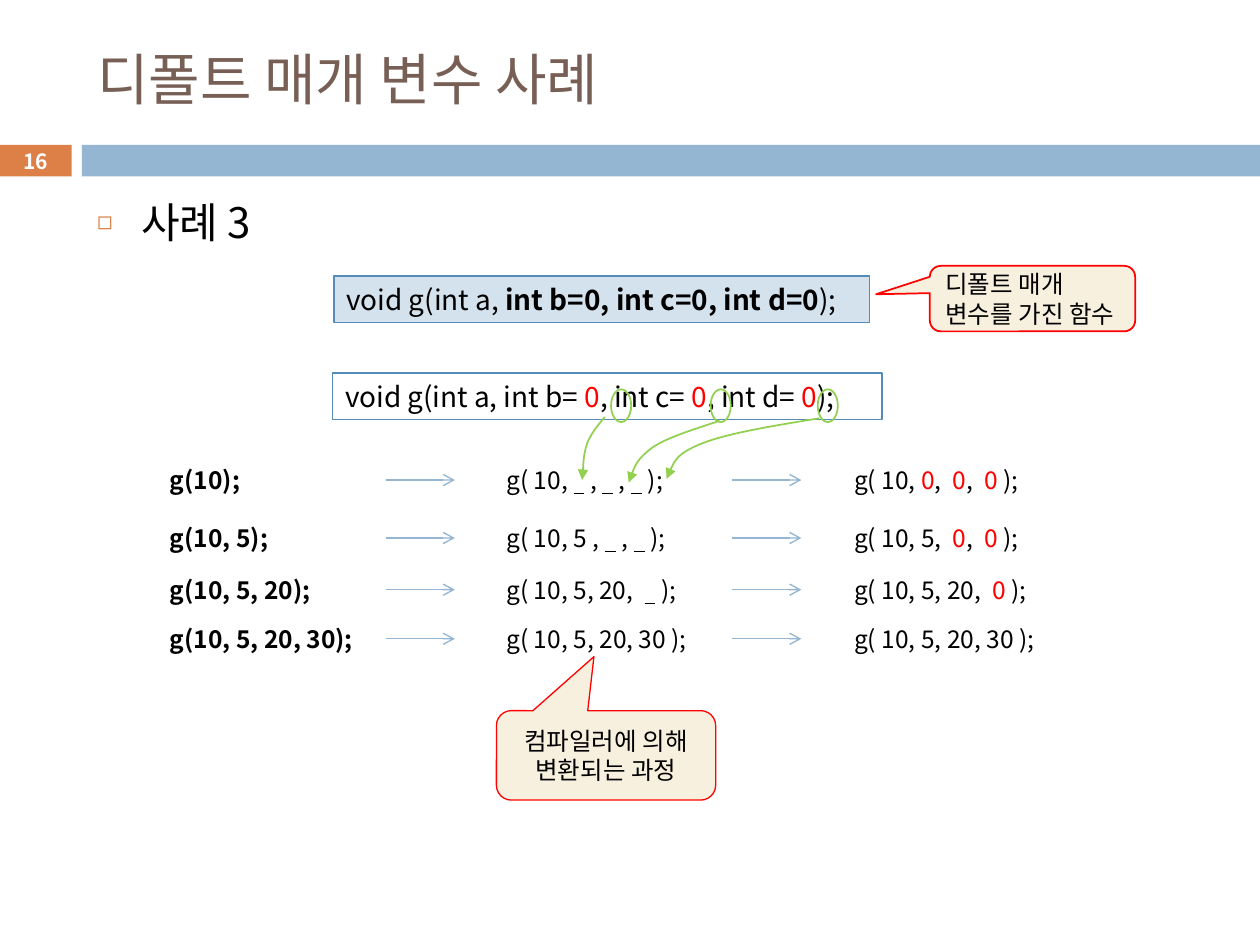
from lxml import etree
from pptx import Presentation
from pptx.dml.color import RGBColor
from pptx.enum.shapes import MSO_CONNECTOR, MSO_SHAPE
from pptx.enum.text import MSO_ANCHOR, MSO_AUTO_SIZE, PP_ALIGN
from pptx.oxml.ns import qn
from pptx.util import Inches, Pt

RECT, OVAL = MSO_SHAPE.RECTANGLE, MSO_SHAPE.OVAL
CALLOUT = MSO_SHAPE.ROUNDED_RECTANGULAR_CALLOUT
STRAIGHT = MSO_CONNECTOR.STRAIGHT
MIDDLE, TOP = MSO_ANCHOR.MIDDLE, MSO_ANCHOR.TOP
LEFT, CENTER = PP_ALIGN.LEFT, PP_ALIGN.CENTER
FONT = "Noto Sans CJK KR"
COLORS = {
    "black": "000000", "white": "FFFFFF", "title": "775F55", "orange": "DD8047",
    "bar": "94B6D2", "border": "558BB8", "code": "D4E2ED", "cream": "F7F0DE",
    "red": "FF0000", "green": "92D050",
}


def write(frame, runs, size, color="black", align=LEFT, anchor=MIDDLE):
    """Fill the frame's first paragraph with (text, style) runs; style is "", bold, red or blank."""
    frame.word_wrap = True
    frame.auto_size = MSO_AUTO_SIZE.NONE
    frame.vertical_anchor = anchor
    para = frame.paragraphs[0]
    para.alignment = align
    para.space_before = Pt(0)
    for text, style in runs:
        span = para.add_run()
        span.text = text
        font = span.font
        font.name, font.size = FONT, Pt(size)
        font.bold, font.underline = style == "bold", style == "blank"
        font.color.rgb = RGBColor.from_string(COLORS["red" if style == "red" else color])
        etree.SubElement(font._element, qn("a:ea"), typeface=FONT)


def add_box(kind, area, fill=None, line=None, width=0.75):
    box = page.shapes.add_shape(kind, *(Inches(length) for length in area))
    box.shadow.inherit = False
    if fill:
        box.fill.solid()
        box.fill.fore_color.rgb = RGBColor.from_string(COLORS[fill])
    else:
        box.fill.background()
    if line:
        box.line.color.rgb = RGBColor.from_string(COLORS[line])
        box.line.width = Pt(width)
    else:
        box.line.fill.background()
    return box


deck = Presentation()
deck.slide_width, deck.slide_height = Inches(10), Inches(7.5)
page = deck.slides.add_slide(deck.slide_layouts[1])

# Header band with the page number
number = add_box(RECT, (0, 1.15, 0.57, 0.25), "orange")
write(number.text_frame, [("16", "bold")], 12, "white", CENTER)
number.text_frame.margin_top = number.text_frame.margin_bottom = 0
add_box(RECT, (0.65, 1.15, 9.35, 0.25), "bar")

# Title and list
title, body = page.placeholders
for holder, top, height in ((title, 0.25, 0.74), (body, 1.51, 5.51)):
    holder.left, holder.top = Inches(0.67), Inches(top)
    holder.width, holder.height = Inches(8.92), Inches(height)
write(title.text_frame, [("디폴트 매개 변수 사례", "")], 32, "title")
bullet = body.text_frame.paragraphs[0]._p.get_or_add_pPr()
bullet.set("marL", str(Inches(0.35)))
bullet.set("indent", str(-Inches(0.35)))
bullet_color = etree.SubElement(bullet, qn("a:buClr"))
etree.SubElement(bullet_color, qn("a:srgbClr"), val=COLORS["orange"])
etree.SubElement(bullet, qn("a:buSzPct"), val="60000")
etree.SubElement(bullet, qn("a:buChar"), char="◻")
write(body.text_frame, [("사례 3", "")], 24, anchor=TOP)

# Function declarations
DECLARATIONS = [
    ((2.65, 2.19, 4.25, 0.37), "code",
     [("void g(int a, ", ""), ("int b=0, int c=0, int d=0", "bold"), (");", "")]),
    ((2.64, 2.96, 4.36, 0.37), None,
     [("void g(int a, int b= ", ""), ("0", "red"), (", int c= ", ""), ("0", "red"),
      (", int d= ", ""), ("0", "red"), (");", "")]),
]
for area, fill, runs in DECLARATIONS:
    write(add_box(RECT, area, fill, "border").text_frame, runs, 16)

# Calls: as written, with gaps, with defaults filled in
COLUMNS = (1.25, 3.92, 6.68)
ARROW_COLUMNS = (3.06, 5.81)
ROWS = (3.64, 4.10, 4.51, 4.90)
ROW_HEIGHT = 0.34
GAP, ZERO, END = ("  ", "blank"), ("0", "red"), (" );", "")
COMMA, WIDE_COMMA = (" , ", ""), (",  ", "")
COMPLETE = [("g( 10, 5, 20, 30 );", "")]
CALLS = [
    [(0.81, [("g(10);", "bold")]),
     (1.79, [("g( 10, ", ""), GAP, COMMA, GAP, COMMA, GAP, END]),
     (1.64, [("g( 10, ", ""), ZERO, WIDE_COMMA, ZERO, WIDE_COMMA, ZERO, END])],
    [(1.05, [("g(10, 5);", "bold")]),
     (1.76, [("g( 10, 5 , ", ""), GAP, COMMA, GAP, END]),
     (1.64, [("g( 10, 5,  ", ""), ZERO, WIDE_COMMA, ZERO, END])],
    [(1.39, [("g(10, 5, 20);", "bold")]),
     (1.77, [("g( 10, 5, 20,  ", ""), GAP, END]),
     (1.68, [("g( 10, 5, 20,  ", ""), ZERO, END])],
    [(1.74, [("g(10, 5, 20, 30);", "bold")]), (1.78, COMPLETE), (1.72, COMPLETE)],
]
arrows = []
for top, calls in zip(ROWS, CALLS):
    for left, (width, runs) in zip(COLUMNS, calls):
        box = page.shapes.add_textbox(Inches(left), Inches(top), Inches(width), Inches(ROW_HEIGHT))
        write(box.text_frame, runs, 14)
    middle = Inches(top + ROW_HEIGHT / 2)
    for left in ARROW_COLUMNS:
        arrow = page.shapes.add_connector(STRAIGHT, Inches(left), middle, Inches(left + 0.55), middle)
        etree.SubElement(arrow.element.spPr, qn("a:effectLst"))
        arrows.append((arrow, "bar", 0.79, "arrow"))

# Circles round the defaults, and curves leading to the gaps
for left in (4.85, 5.64, 6.49):
    add_box(OVAL, (left, 3.09, 0.16, 0.26), None, "green", 1)
CURVES = [
    [(4.80, 3.31), (4.75, 3.37), (4.69, 3.44), (4.66, 3.52), (4.63, 3.61), (4.63, 3.71), (4.62, 3.81)],
    [(5.71, 3.34), (5.50, 3.41), (5.30, 3.47), (5.18, 3.55), (5.06, 3.64), (5.02, 3.73), (4.99, 3.83)],
    [(6.50, 3.32), (6.13, 3.38), (5.77, 3.44), (5.57, 3.52), (5.37, 3.60), (5.33, 3.70), (5.29, 3.80)],
]
for points in CURVES:
    start, *others = [(Inches(x), Inches(y)) for x, y in points]
    builder = page.shapes.build_freeform(*start)
    builder.add_line_segments(others, close=False)
    curve = builder.convert_to_shape()
    curve.shadow.inherit = False
    curve.fill.background()
    # Every three straight segments become one Bézier segment
    segments = list(curve.element.iter(qn("a:lnTo")))
    for first in range(0, len(segments), 3):
        bezier = etree.SubElement(segments[first].getparent(), qn("a:cubicBezTo"))
        for segment in segments[first:first + 3]:
            bezier.append(segment[0])
            segment.getparent().remove(segment)
    arrows.append((curve, "green", 1, "triangle"))

for arrow, color, width, head in arrows:
    arrow.line.color.rgb = RGBColor.from_string(COLORS[color])
    arrow.line.width = Pt(width)
    etree.SubElement(arrow.element.spPr.find(qn("a:ln")), qn("a:tailEnd"), type=head)

# Callouts
CALLOUTS = [
    ((7.38, 2.11, 1.63, 0.52), (-0.762, -0.066), 1, LEFT, "디폴트 매개 변수를 가진 함수"),
    ((3.94, 5.64, 1.74, 0.71), (-0.055, -1.104), 0.75, CENTER, "컴파일러에 의해 변환되는 과정"),
]
for area, tip, width, align, text in CALLOUTS:
    callout = add_box(CALLOUT, area, "cream", "red", width)
    callout.adjustments[0], callout.adjustments[1] = tip
    write(callout.text_frame, [(text, "")], 14, align=align)

deck.save("out.pptx")
